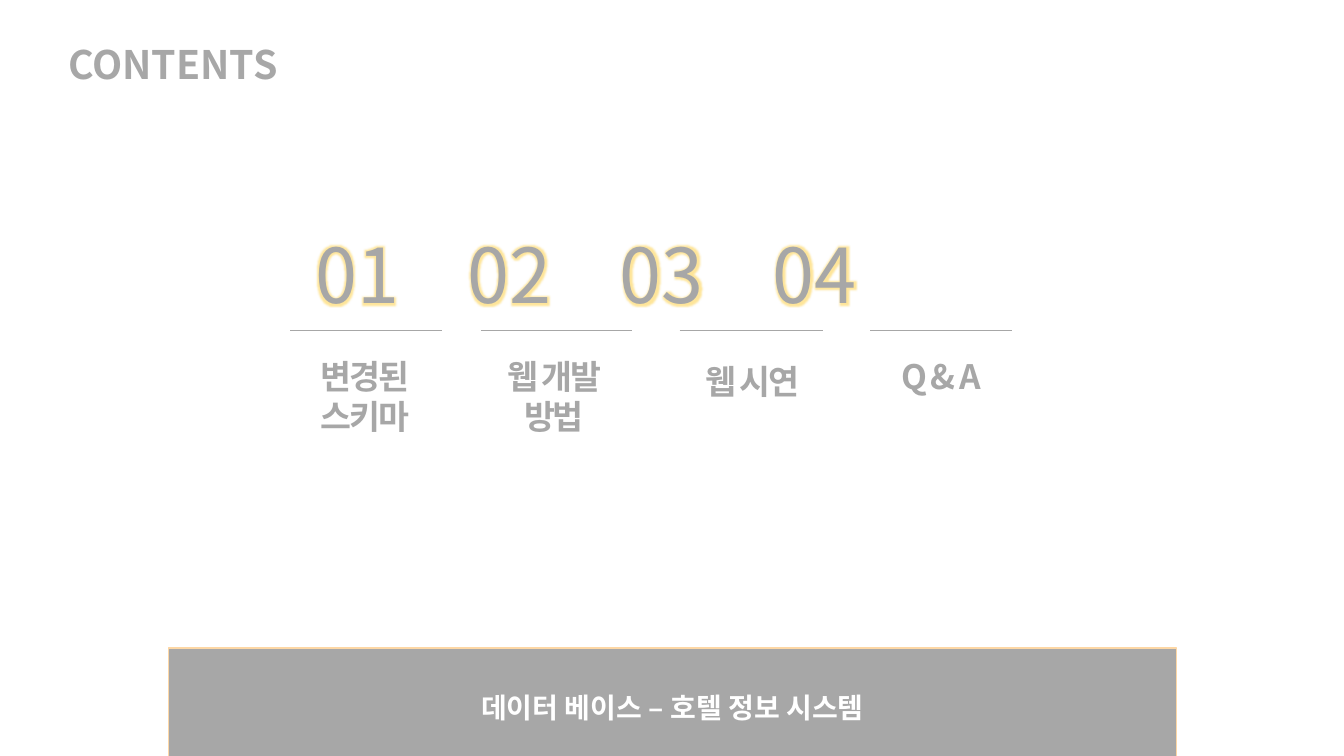
from dataclasses import dataclass

from lxml.etree import SubElement
from pptx import Presentation
from pptx.dml.color import RGBColor
from pptx.enum.shapes import MSO_CONNECTOR, MSO_SHAPE
from pptx.enum.text import MSO_ANCHOR, PP_ALIGN
from pptx.oxml import parse_xml
from pptx.oxml.ns import nsdecls, qn
from pptx.shapes.base import BaseShape
from pptx.slide import Slide
from pptx.text.text import TextFrame
from pptx.util import Emu, Pt

SCALE = 9144  # EMU in one px, 100 px to the inch


@dataclass(frozen=True)
class Theme:
    font: str = "Noto Sans CJK KR"
    gray: str = "A7A7A7"
    white: str = "FFFFFF"
    edge: str = "FDD7A5"
    glow: str = "FFC000"
    title: int = 28
    number: int = 54
    label: int = 24
    footer: int = 20


@dataclass(frozen=True)
class Box:
    left: int
    top: int
    width: int
    height: int


@dataclass(frozen=True)
class Topic:
    text: str
    box: Box
    start: int
    end: int


THEME = Theme()
RULE_Y = 328
PITCH = 151
TOPICS = (
    Topic("변경된\n스키마", Box(287, 348, 150, 91), 288, 438),
    Topic("웹 개발\n방법", Box(459, 348, 181, 91), 477, 627),
    Topic("웹 시연", Box(651, 353, 191, 50), 674, 816),
    Topic("Q & A", Box(831, 348, 205, 50), 863, 1004),
)


def px(count: int) -> Emu:
    return Emu(count * SCALE)


def place(box: Box) -> tuple[Emu, Emu, Emu, Emu]:
    return px(box.left), px(box.top), px(box.width), px(box.height)


def style(frame: TextFrame, size: int, color: str, bold: bool = True,
          align: PP_ALIGN = PP_ALIGN.LEFT, gap: int = 0) -> None:
    """Format every run; gap is letter spacing in hundredths of a point."""
    for para in frame.paragraphs:
        para.alignment = align
        for run in para.runs:
            font = run.font
            font.size, font.bold, font.name = Pt(size), bold, THEME.font
            font.color.rgb = RGBColor.from_string(color)
            props = run._r.get_or_add_rPr()
            SubElement(props, qn("a:ea"), typeface=THEME.font)
            if gap:
                props.set("spc", str(gap))


def add_text(slide: Slide, box: Box, text: str) -> TextFrame:
    frame = slide.shapes.add_textbox(*place(box)).text_frame
    frame.word_wrap = True
    frame.text = text
    return frame


def add_rule(slide: Slide, start: int, end: int) -> None:
    rule = slide.shapes.add_connector(
        MSO_CONNECTOR.STRAIGHT, px(start), px(RULE_Y), px(end), px(RULE_Y))
    rule.line.color.rgb = RGBColor.from_string(THEME.gray)
    rule.line.width = Pt(0.5)
    SubElement(rule._element.spPr, qn("a:effectLst"))


def add_topic(slide: Slide, topic: Topic) -> None:
    add_rule(slide, topic.start, topic.end)
    frame = add_text(slide, topic.box, topic.text)
    style(frame, THEME.label, THEME.gray, align=PP_ALIGN.CENTER, gap=-150)


def add_numbers(slide: Slide) -> None:
    """Write the topic numbers on one line, at equal tab stops, with a glow."""
    count = len(TOPICS)
    text = "\t".join(f"{i:02}" for i in range(1, count + 1))
    frame = add_text(slide, Box(303, 221, 900, 101), text)
    style(frame, THEME.number, THEME.gray, bold=False)
    para = frame.paragraphs[0]
    tabs = SubElement(para._p.get_or_add_pPr(), qn("a:tabLst"))
    for i in range(1, count):
        SubElement(tabs, qn("a:tab"), pos=str(px(i * PITCH)), algn="l")
    for run in para.runs:
        fill = run._r.get_or_add_rPr().find(qn("a:solidFill"))
        fill.addnext(parse_xml(
            f'<a:effectLst {nsdecls("a")}><a:glow rad="{Pt(5)}">'
            f'<a:srgbClr val="{THEME.glow}"><a:alpha val="40000"/></a:srgbClr>'
            '</a:glow></a:effectLst>'))


def add_footer(slide: Slide, text: str) -> BaseShape:
    bar = slide.shapes.add_shape(
        MSO_SHAPE.RECTANGLE, *place(Box(167, 643, 1000, 118)))
    bar.shadow.inherit = False
    bar.fill.solid()
    bar.fill.fore_color.rgb = RGBColor.from_string(THEME.gray)
    bar.line.color.rgb = RGBColor.from_string(THEME.edge)
    bar.line.width = Pt(1)
    frame = bar.text_frame
    frame.text = text
    frame.vertical_anchor = MSO_ANCHOR.MIDDLE
    style(frame, THEME.footer, THEME.white, align=PP_ALIGN.CENTER)
    return bar


def main() -> None:
    deck = Presentation()
    deck.slide_width, deck.slide_height = px(1333), px(750)
    slide = deck.slides.add_slide(deck.slide_layouts[6])
    title = add_text(slide, Box(58, 35, 457, 57), "CONTENTS")
    style(title, THEME.title, THEME.gray)
    add_footer(slide, "데이터 베이스 – 호텔 정보 시스템")
    add_numbers(slide)
    for topic in TOPICS:
        add_topic(slide, topic)
    deck.save("out.pptx")


if __name__ == "__main__":
    main()
